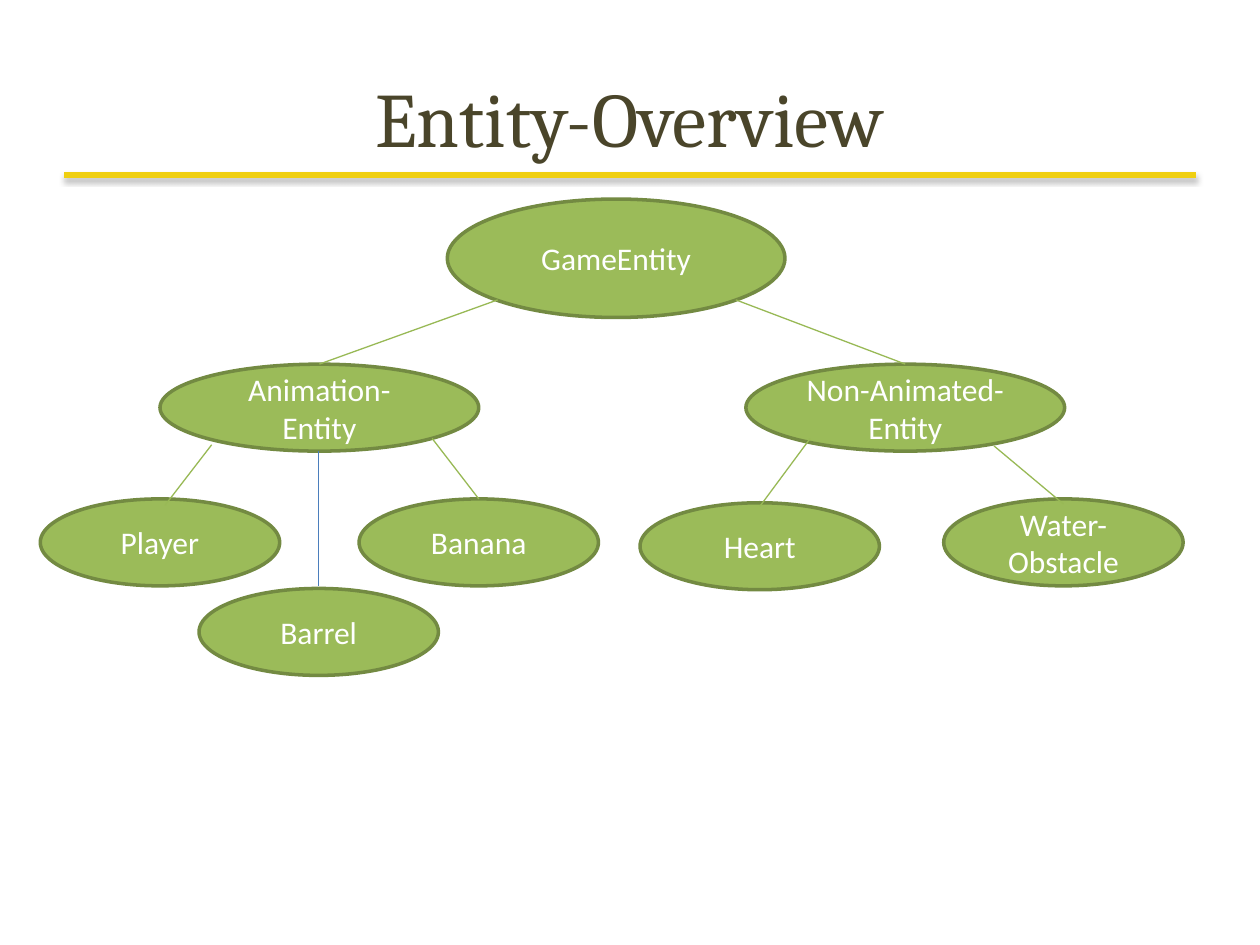
from lxml import etree
from pptx import Presentation
from pptx.dml.color import RGBColor
from pptx.enum.shapes import MSO_CONNECTOR, MSO_SHAPE
from pptx.enum.text import MSO_ANCHOR, PP_ALIGN
from pptx.oxml.ns import qn
from pptx.util import Inches, Pt

OVAL = MSO_SHAPE.OVAL
STRAIGHT = MSO_CONNECTOR.STRAIGHT
MIDDLE = MSO_ANCHOR.MIDDLE
CENTER = PP_ALIGN.CENTER

WHITE = RGBColor(0xFF, 0xFF, 0xFF)
BROWN = RGBColor(0x4A, 0x45, 0x2A)
GOLD = RGBColor(0xEF, 0xCF, 0x11)
GREEN = RGBColor(0x9B, 0xBB, 0x59)
OLIVE = RGBColor(0x73, 0x8A, 0x42)
LEAF = RGBColor(0x98, 0xB9, 0x55)
BLUE = RGBColor(0x4B, 0x7E, 0xBC)

ROOT = (2.68, 0.94)
PARENT = (2.53, 0.69)
CHILD = (1.9, 0.69)

ANIMATED = [
    ("Player", (-0.95, 1.07), (0.41, 0.64), (0.04, 1.12), LEAF),
    ("Banana", (1.58, 1.07), (2.16, 0.59), (2.53, 1.07), LEAF),
    ("Barrel", (0.31, 1.78), (1.26, 0.69), (1.26, 1.76), BLUE),
]
STATIC = [
    ("Heart", (-0.84, 1.1), (0.51, 0.59), (0.11, 1.13), LEAF),
    ("Water-Obstacle", (1.57, 1.07), (1.97, 0.65), (2.52, 1.11), LEAF),
]


def write(shape, text, font="Calibri", size=18, color=WHITE):
    """Put centred, formatted text in a shape."""
    frame = shape.text_frame
    frame.word_wrap = True
    frame.vertical_anchor = MIDDLE
    para = frame.paragraphs[0]
    para.alignment = CENTER
    run = para.add_run()
    run.text = text
    run.font.name = font
    run.font.size = Pt(size)
    run.font.color.rgb = color


def link(slide, start, end, color=LEAF, width=0.75):
    """Draw a straight line and return its effect list."""
    ends = [Inches(v) for v in (*start, *end)]
    line = slide.shapes.add_connector(STRAIGHT, *ends)
    line.line.color.rgb = color
    line.line.width = Pt(width)
    return etree.SubElement(line._element.spPr, qn("a:effectLst"))


def shade(effects):
    """Add a soft shadow below a line."""
    cast = etree.SubElement(effects, qn("a:outerShdw"), blurRad=str(Pt(3.1)),
                            dist=str(Pt(1.8)), dir="5400000", rotWithShape="0")
    black = etree.SubElement(cast, qn("a:srgbClr"), val="000000")
    etree.SubElement(black, qn("a:alpha"), val="35000")


def node(slide, text, place, size):
    """Draw one labelled ellipse."""
    shape = slide.shapes.add_shape(OVAL, *[Inches(v) for v in (*place, *size)])
    shape.shadow.inherit = False
    shape.fill.solid()
    shape.fill.fore_color.rgb = GREEN
    shape.line.color.rgb = OLIVE
    shape.line.width = Pt(2)
    write(shape, text)


def header(slide, left, top, width, height):
    """Place the title and the rule across its foot."""
    title = slide.shapes.title
    title.left, title.top = Inches(left), Inches(top)
    title.width, title.height = Inches(width), Inches(height)
    write(title, "Entity-Overview", font="Cambria", size=44, color=BROWN)
    rule = top + height - 0.16
    shade(link(slide, (left + 0.01, rule), (left + width - 0.01, rule), GOLD, 3))


def branch(slide, left, top, text, leaves):
    """Draw a parent with its children and links."""
    def at(point):
        return left + point[0], top + point[1]

    node(slide, text, (left, top), PARENT)
    for name, place, *_ in leaves:
        node(slide, name, at(place), CHILD)
    for _, _, start, end, color in leaves:
        link(slide, at(start), at(end), color)


def tree(slide, left, top):
    """Draw the whole hierarchy from its top left corner."""
    node(slide, "GameEntity", (left + 3.23, top), ROOT)
    row = top + 1.31
    sides = [
        ("Animation-Entity", ANIMATED, 0.95, 3.63),
        ("Non-Animated-Entity", STATIC, 5.6, 5.52),
    ]
    for text, leaves, shift, start in sides:
        branch(slide, left + shift, row, text, leaves)
        link(slide, (left + start, top + 0.8),
             (left + shift + PARENT[0] / 2, row))


def main():
    """Build and save the slide."""
    deck = Presentation()
    deck.slide_width, deck.slide_height = Inches(10), Inches(7.5)
    slide = deck.slides.add_slide(deck.slide_layouts[5])
    header(slide, 0.5, 0.3, 9, 1.25)
    tree(slide, 0.32, 1.58)
    deck.save("out.pptx")


if __name__ == "__main__":
    main()
